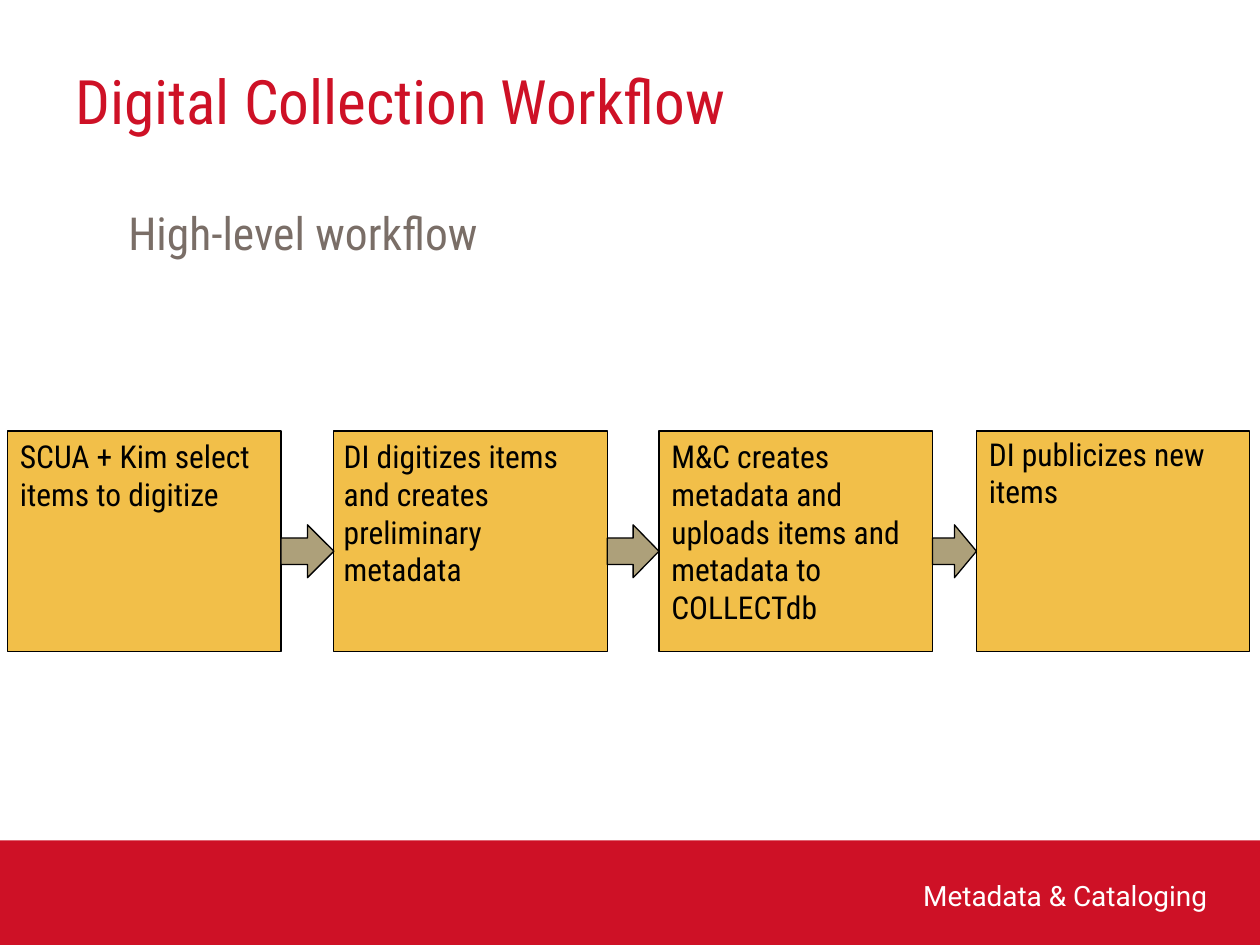
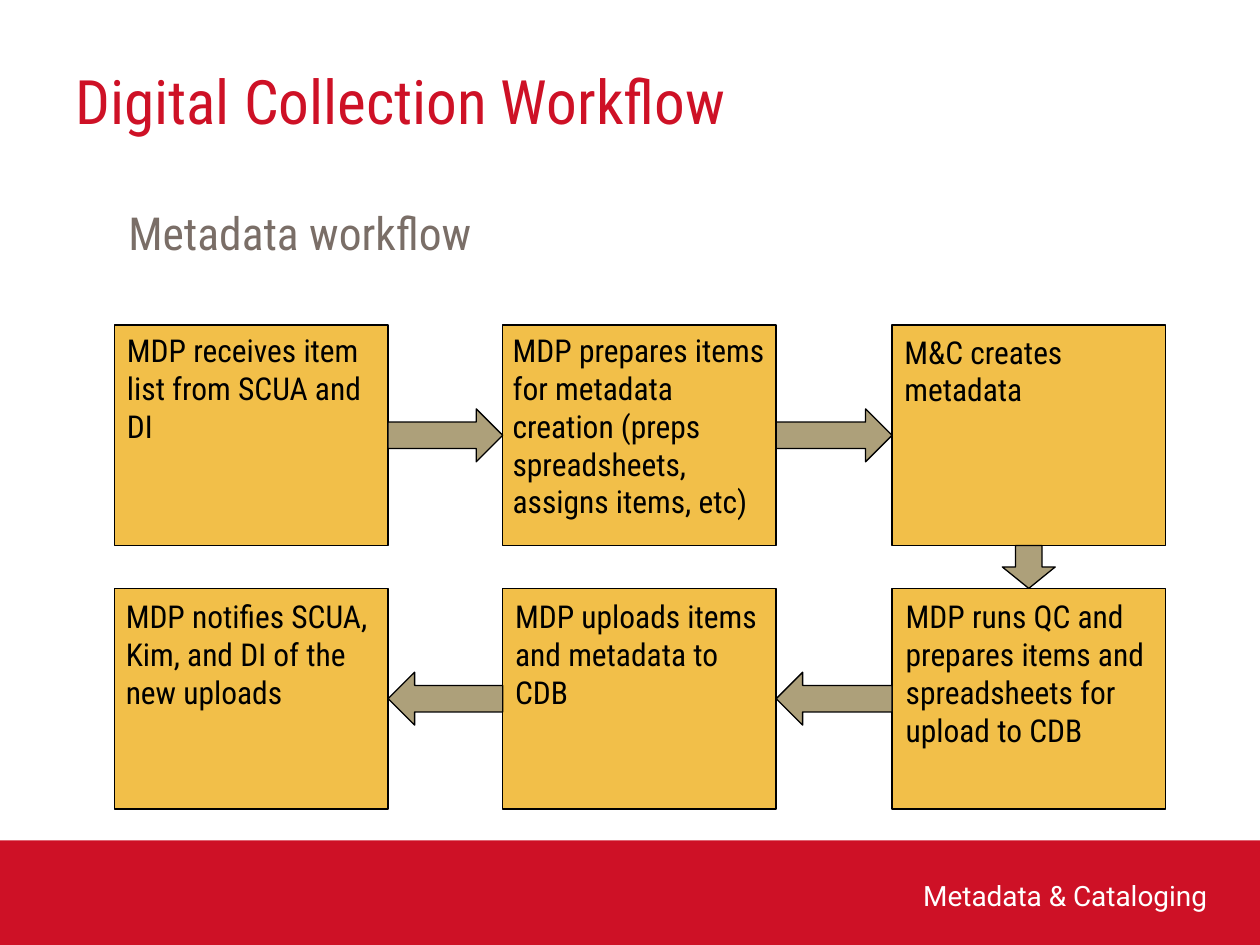
"""Build the two digital collection workflow slides."""
from dataclasses import dataclass

from pptx import Presentation
from pptx.dml.color import RGBColor
from pptx.enum.shapes import MSO_SHAPE
from pptx.enum.text import MSO_ANCHOR, MSO_AUTO_SIZE, PP_ALIGN
from pptx.shapes.autoshape import Shape
from pptx.slide import Slide
from pptx.util import Inches, Pt

RECTANGLE = MSO_SHAPE.RECTANGLE
RIGHT_ARROW = MSO_SHAPE.RIGHT_ARROW
TOP, MIDDLE = MSO_ANCHOR.TOP, MSO_ANCHOR.MIDDLE
LEFT, RIGHT = PP_ALIGN.LEFT, PP_ALIGN.RIGHT
GROW = MSO_AUTO_SIZE.SHAPE_TO_FIT_TEXT

RED, GREY, GOLD, TAN = "CE1126", "7A6E67", "F2BF49", "ADA07A"
BLACK, WHITE = "000000", "FFFFFF"
HEADING_FONT, FOOTER_FONT = "Roboto Condensed", "Roboto"

SLIDE_WIDTH, SLIDE_HEIGHT = 10, 7.5
BAND_TOP = 6.67
STEP_WIDTH, STEP_HEIGHT = 2.17, 1.75
ARROW_THICKNESS = 0.42
LINE_HEIGHT, TEXT_PADDING = 0.3, 0.1


@dataclass(frozen=True)
class Frame:
    """A rectangle on the slide, in inches."""
    left: float
    top: float
    width: float
    height: float


@dataclass(frozen=True)
class TextStyle:
    """Font and placement of a text."""
    size: float
    color: str
    font: str = HEADING_FONT
    align: PP_ALIGN = LEFT
    anchor: MSO_ANCHOR = TOP
    space_before: float = 0
    wrap: bool = True
    grow: bool = False


@dataclass(frozen=True)
class Step:
    """One workflow step, with its caption's offset from the box."""
    caption: str
    left: float
    top: float
    lines: int
    shift_x: float = 0
    shift_y: float = 0
    caption_width: float = STEP_WIDTH


@dataclass(frozen=True)
class Workflow:
    """The content of one slide."""
    subtitle: str
    steps: tuple[Step, ...]
    arrow_drop: float = 0


TITLE_STYLE = TextStyle(35, RED, anchor=MIDDLE)
SUBTITLE_STYLE = TextStyle(26, GREY, space_before=5.2)
CAPTION_STYLE = TextStyle(18, BLACK, grow=True)
FOOTER_STYLE = TextStyle(16, WHITE, FOOTER_FONT, RIGHT, wrap=False, grow=True)

ROW = 3.42
UPPER_ROW, LOWER_ROW = 2.58, 4.67
COLUMNS = (0.91, 3.99, 7.08)

WORKFLOWS = (
    Workflow("High-level workflow", (
        Step("SCUA + Kim select items to digitize", 0.06, ROW, 3),
        Step("DI digitizes items and creates preliminary metadata",
             2.65, ROW, 4, shift_x=-0.02),
        Step("M&C creates metadata and uploads items and metadata to COLLECTdb",
             5.23, ROW, 5),
        Step("DI publicizes new items", 7.75, ROW, 2, shift_y=-0.02),
    ), arrow_drop=0.08),
    Workflow("Metadata workflow", (
        Step("MDP receives item list from SCUA and DI",
             COLUMNS[0], UPPER_ROW, 3),
        Step("MDP prepares items for metadata creation "
             "(preps spreadsheets, assigns items, etc)",
             COLUMNS[1], UPPER_ROW, 5, shift_x=-0.02, caption_width=2.28),
        Step("M&C creates metadata", COLUMNS[2], UPPER_ROW, 2, shift_y=0.01),
        Step("MDP runs QC and prepares items and spreadsheets for upload to CDB",
             COLUMNS[2], LOWER_ROW, 5, shift_x=0.01, shift_y=0.02),
        Step("MDP uploads items and metadata to CDB",
             COLUMNS[1], LOWER_ROW, 3, shift_y=0.02),
        Step("MDP notifies SCUA, Kim, and DI of the new uploads",
             COLUMNS[0], LOWER_ROW, 4, shift_x=-0.01, shift_y=0.02),
    )),
)


def rgb(color: str) -> RGBColor:
    """Turn a hex string into a colour."""
    return RGBColor.from_string(color)


def add_block(slide: Slide, kind: MSO_SHAPE, frame: Frame, fill: str,
              outlined: bool = True) -> Shape:
    """Draw a flat filled shape, with a thin black outline if wanted."""
    block = slide.shapes.add_shape(
        kind, Inches(frame.left), Inches(frame.top),
        Inches(frame.width), Inches(frame.height))
    block.shadow.inherit = False
    block.fill.solid()
    block.fill.fore_color.rgb = rgb(fill)
    if outlined:
        block.line.color.rgb = rgb(BLACK)
        block.line.width = Pt(0.75)
    else:
        block.line.fill.background()
    return block


def add_text(slide: Slide, text: str, frame: Frame, style: TextStyle) -> None:
    """Write a one-paragraph text box."""
    box = slide.shapes.add_textbox(
        Inches(frame.left), Inches(frame.top),
        Inches(frame.width), Inches(frame.height))
    body = box.text_frame
    body.word_wrap = style.wrap
    body.vertical_anchor = style.anchor
    if style.grow:
        body.auto_size = GROW
    paragraph = body.paragraphs[0]
    paragraph.alignment = style.align
    paragraph.space_before = Pt(style.space_before)
    run = paragraph.add_run()
    run.text = text
    run.font.name = style.font
    run.font.size = Pt(style.size)
    run.font.color.rgb = rgb(style.color)


def add_arrow(slide: Slide, start: Step, end: Step, drop: float) -> None:
    """Fill the gap between two neighbouring steps with an arrow."""
    if start.top == end.top:
        length = abs(end.left - start.left) - STEP_WIDTH
        rotation = 0 if end.left > start.left else 180
    else:
        length = abs(end.top - start.top) - STEP_HEIGHT
        rotation = 90
    center_x = (start.left + end.left + STEP_WIDTH) / 2
    center_y = (start.top + end.top + STEP_HEIGHT) / 2 + drop
    frame = Frame(center_x - length / 2, center_y - ARROW_THICKNESS / 2,
                  length, ARROW_THICKNESS)
    add_block(slide, RIGHT_ARROW, frame, TAN).rotation = rotation


def add_caption(slide: Slide, step: Step) -> None:
    """Write the caption of a step over its box."""
    frame = Frame(step.left + step.shift_x, step.top + step.shift_y,
                  step.caption_width, step.lines * LINE_HEIGHT + TEXT_PADDING)
    add_text(slide, step.caption, frame, CAPTION_STYLE)


def add_common_parts(slide: Slide, subtitle: str) -> None:
    """Draw the footer band, the title and the subtitle."""
    band = Frame(0, BAND_TOP, SLIDE_WIDTH, SLIDE_HEIGHT - BAND_TOP)
    add_block(slide, RECTANGLE, band, RED, outlined=False)
    add_text(slide, "Metadata & Cataloging", Frame(7.2, 6.92, 2.48, 0.37),
             FOOTER_STYLE)
    add_text(slide, "Digital Collection Workflow", Frame(0.5, 0.17, 8.5, 1.25),
             TITLE_STYLE)
    add_text(slide, subtitle, Frame(0.92, 1.58, 8.33, 4.5), SUBTITLE_STYLE)


def add_workflow(slide: Slide, workflow: Workflow) -> None:
    """Draw a whole workflow slide."""
    add_common_parts(slide, workflow.subtitle)
    for step in workflow.steps:
        frame = Frame(step.left, step.top, STEP_WIDTH, STEP_HEIGHT)
        add_block(slide, RECTANGLE, frame, GOLD)
    for start, end in zip(workflow.steps, workflow.steps[1:]):
        add_arrow(slide, start, end, workflow.arrow_drop)
    for step in workflow.steps:
        add_caption(slide, step)


def main() -> None:
    """Build and save the presentation."""
    deck = Presentation()
    deck.slide_width = Inches(SLIDE_WIDTH)
    deck.slide_height = Inches(SLIDE_HEIGHT)
    blank = deck.slide_layouts[6]
    for workflow in WORKFLOWS:
        add_workflow(deck.slides.add_slide(blank), workflow)
    deck.save("out.pptx")


main()
